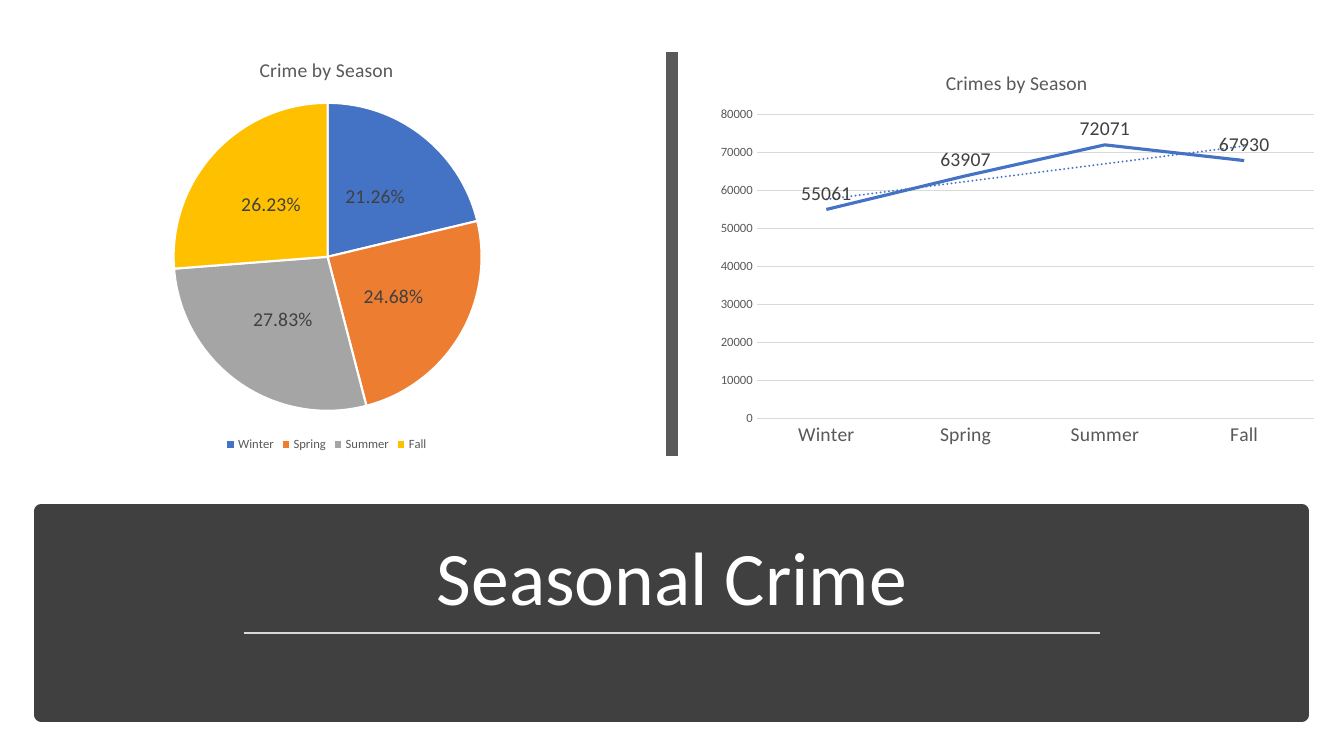
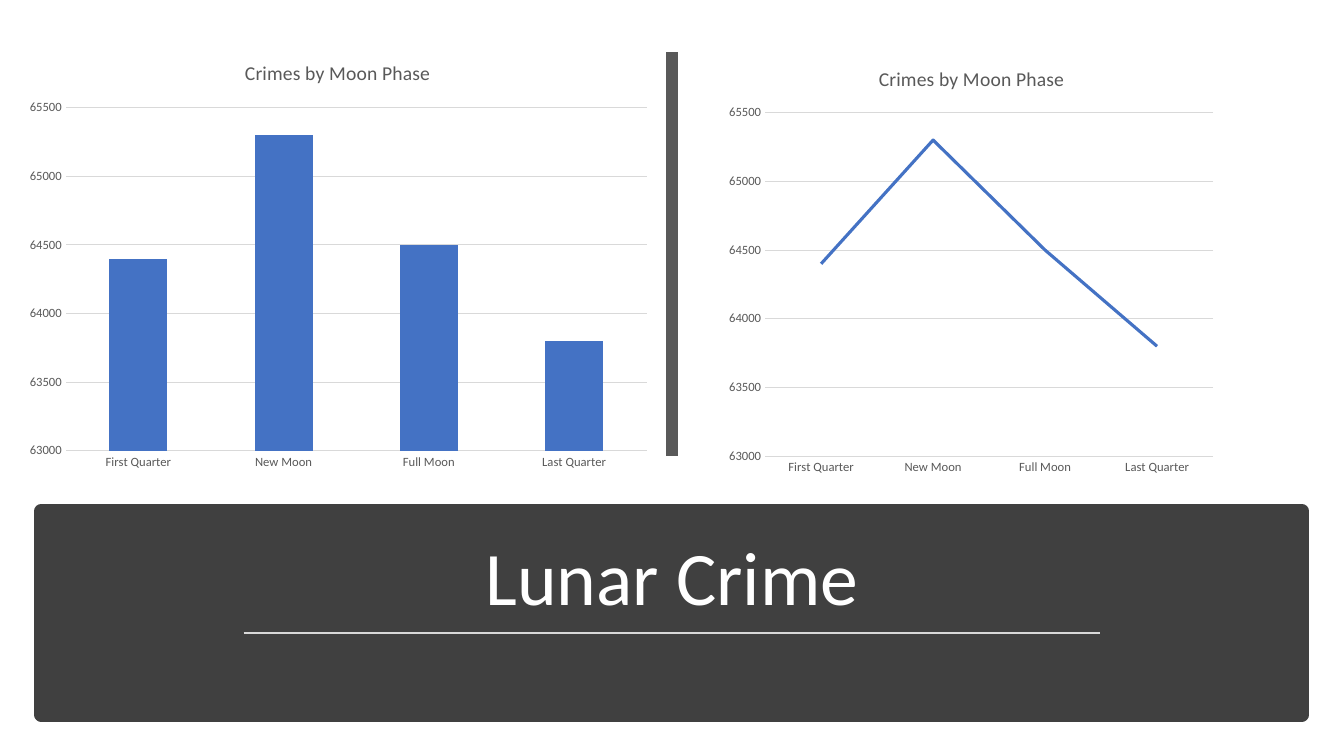
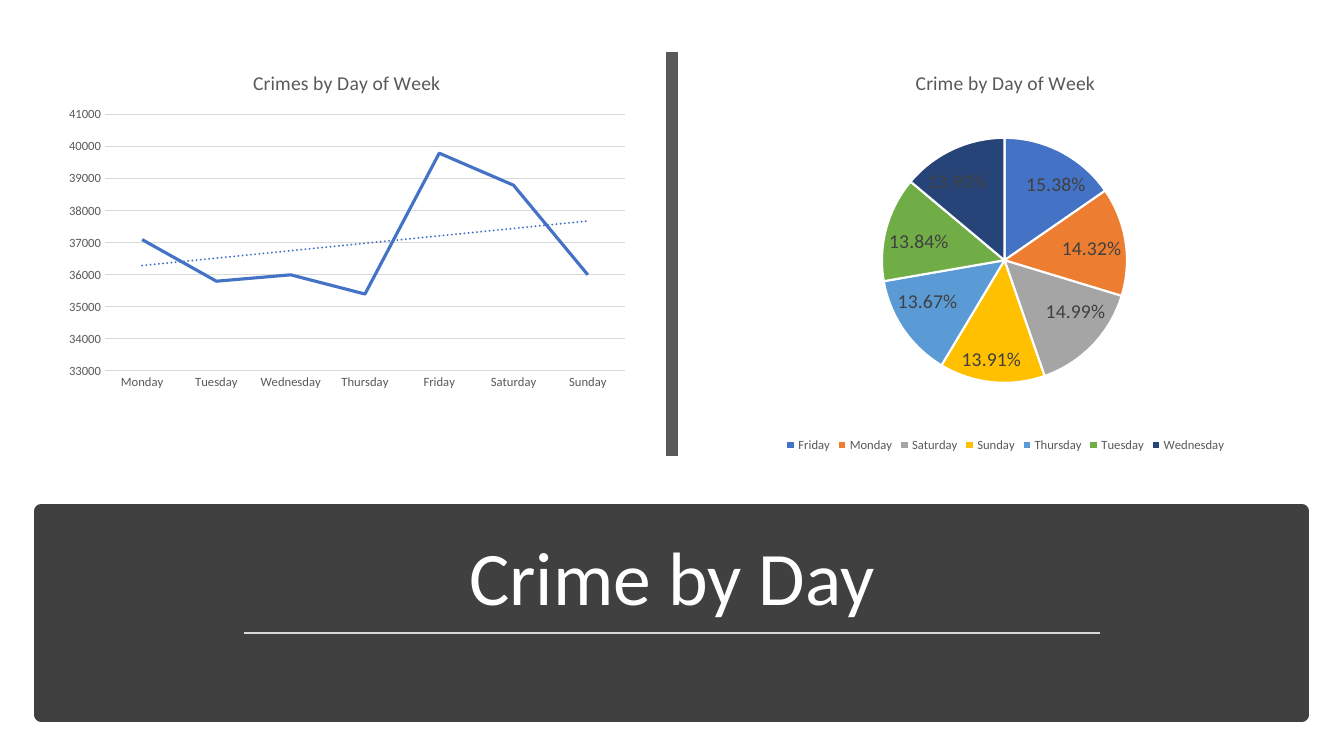
from pptx import Presentation
from pptx.chart.data import CategoryChartData
from pptx.dml.color import RGBColor
from pptx.enum.chart import XL_CHART_TYPE, XL_LABEL_POSITION, XL_LEGEND_POSITION, XL_TICK_MARK
from pptx.enum.shapes import MSO_CONNECTOR, MSO_SHAPE
from pptx.enum.text import MSO_ANCHOR, PP_ALIGN
from pptx.oxml import parse_xml
from pptx.oxml.ns import nsdecls, qn
from pptx.util import Pt

FONT = "Calibri"
WHITE, BAND, DIVIDER, RULE = "FFFFFF", "404040", "595959", "D9D9D9"
LABEL, AXIS = "404040", "595959"
PALETTE = ["4472C4", "ED7D31", "A5A5A5", "FFC000", "5B9BD5", "70AD47", "264478"]

PIE, LINE, COLUMN = XL_CHART_TYPE.PIE, XL_CHART_TYPE.LINE, XL_CHART_TYPE.COLUMN_CLUSTERED
SEASONS = ["Winter", "Spring", "Summer", "Fall"]
MOON = {"First Quarter": 64400, "New Moon": 65300, "Full Moon": 64500, "Last Quarter": 63800}
DAYS = {"Monday": 37100, "Tuesday": 35800, "Wednesday": 36000, "Thursday": 35400,
        "Friday": 39800, "Saturday": 38800, "Sunday": 36000}
DAY_SHARES = {"Friday": 0.1538, "Monday": 0.1432, "Saturday": 0.1499, "Sunday": 0.1391,
              "Thursday": 0.1367, "Tuesday": 0.1384, "Wednesday": 0.139}

# box: chart frame, plot: inner plot area; both left, top, width, height in points
# scale: minimum, maximum and step of the value axis
SLIDES = [
    ("Seasonal Crime", [
        dict(kind=PIE, title="Crime by Season",
             data=dict(zip(SEASONS, [0.2126, 0.2468, 0.2783, 0.2623])),
             box=(29.5, 28, 407.5, 297.5), plot=(124, 73.5, 220, 220),
             labels=XL_LABEL_POSITION.CENTER),
        dict(kind=LINE, title="Crimes by Season",
             data=dict(zip(SEASONS, [55061, 63907, 72071, 67930])),
             box=(506, 37.5, 440.5, 288), plot=(540.5, 82, 398, 217),
             scale=(0, 80000, 10000), cat_size=14, trend=True,
             labels=XL_LABEL_POSITION.ABOVE),
    ]),
    ("Lunar Crime", [
        dict(kind=LINE, title="Crimes by Moon Phase", data=MOON,
             box=(514, 34, 360, 312), plot=(546.5, 80.5, 320, 245.5),
             scale=(63000, 65500, 500)),
        dict(kind=COLUMN, title="Crimes by Moon Phase", data=MOON,
             box=(12, 30, 458.5, 312), plot=(47, 77, 415, 245),
             scale=(63000, 65500, 500)),
    ]),
    ("Crime by Day", [
        dict(kind=LINE, title="Crimes by Day of Week", data=DAYS,
             box=(41, 38, 413.5, 245), plot=(75, 82, 371.5, 183),
             scale=(33000, 41000, 1000), trend=True),
        dict(kind=PIE, title="Crime by Day of Week", data=DAY_SHARES,
             box=(505.5, 37.5, 425.5, 288.5), plot=(630, 98.5, 175, 175),
             labels=XL_LABEL_POSITION.BEST_FIT),
    ]),
]


def rgb(value):
    return RGBColor.from_string(value)


def set_font(font, size, color):
    font.name, font.size, font.bold = FONT, Pt(size), False
    font.color.rgb = rgb(color)


def set_line(line, color, width):
    line.color.rgb = rgb(color)
    line.width = Pt(width)


def add_line(slide, x1, y1, x2, y2, color, width):
    sp = slide.shapes.add_connector(MSO_CONNECTOR.STRAIGHT, Pt(x1), Pt(y1), Pt(x2), Pt(y2))
    set_line(sp.line, color, width)
    sp.element.spPr.append(parse_xml(f"<a:effectLst {nsdecls('a')}/>"))


def add_frame(slide, title):
    """Draw the divider, the title band, the title and its underline."""
    add_line(slide, 480, 37.5, 480, 325.5, DIVIDER, 8)
    band = slide.shapes.add_shape(MSO_SHAPE.RECTANGLE, Pt(29.5), Pt(365), Pt(900.5), Pt(145.5))
    band.shadow.inherit = False
    band.fill.solid()
    band.fill.fore_color.rgb = rgb(BAND)
    set_line(band.line, BAND, 10)

    tf = slide.shapes.add_textbox(Pt(41.5), Pt(374.5), Pt(877), Pt(73.5)).text_frame
    tf.word_wrap = True
    tf.vertical_anchor = MSO_ANCHOR.BOTTOM
    p = tf.paragraphs[0]
    p.alignment = PP_ALIGN.CENTER
    p.line_spacing = 0.9
    r = p.add_run()
    r.text = title
    set_font(r.font, 54, WHITE)
    add_line(slide, 174, 452, 786, 452, RULE, 1.75)


def place_plot(chart, box, plot):
    """Fix the inner plot area, given in slide points."""
    x, y = ((plot[i] - box[i]) / box[i + 2] for i in (0, 1))
    w, h = (plot[i] / box[i] for i in (2, 3))
    area = chart.element.find(".//" + qn("c:plotArea"))
    for old in area.findall(qn("c:layout")):
        area.remove(old)
    area.insert(0, parse_xml(
        f'<c:layout {nsdecls("c")}><c:manualLayout><c:layoutTarget val="inner"/>'
        '<c:xMode val="edge"/><c:yMode val="edge"/>'
        f'<c:x val="{x:.4f}"/><c:y val="{y:.4f}"/><c:w val="{w:.4f}"/><c:h val="{h:.4f}"/>'
        '</c:manualLayout></c:layout>'))


def add_trend(series):
    trend = parse_xml(
        f'<c:trendline {nsdecls("c", "a")}><c:spPr><a:ln w="{Pt(1.5)}" cap="rnd"><a:solidFill>'
        f'<a:srgbClr val="{PALETTE[0]}"/></a:solidFill><a:prstDash val="sysDot"/></a:ln></c:spPr>'
        '<c:trendlineType val="linear"/><c:dispRSqr val="0"/><c:dispEq val="0"/></c:trendline>')
    series._element.find(qn("c:cat")).addprevious(trend)


def style_axes(chart, kind, scale, cat_size):
    cat, val = chart.category_axis, chart.value_axis
    for axis, size in ((cat, cat_size), (val, 9)):
        axis.major_tick_mark = axis.minor_tick_mark = XL_TICK_MARK.NONE
        set_font(axis.tick_labels.font, size, AXIS)
    cat.has_major_gridlines = False
    if kind == COLUMN:
        cat.format.line.fill.background()
    else:
        set_line(cat.format.line, RULE, 0.75)
    val.format.line.fill.background()
    val.has_major_gridlines = True
    set_line(val.major_gridlines.format.line, RULE, 0.75)
    val.minimum_scale, val.maximum_scale, val.major_unit = scale


def style_pie(chart, series, count):
    for i in range(count):
        fmt = series.points[i].format
        fmt.fill.solid()
        fmt.fill.fore_color.rgb = rgb(PALETTE[i])
        set_line(fmt.line, WHITE, 1.5)
    chart.has_legend = True
    chart.legend.position = XL_LEGEND_POSITION.BOTTOM
    chart.legend.include_in_layout = False
    set_font(chart.legend.font, 9, AXIS)


def add_chart(slide, kind, title, data, box, plot, scale=None, cat_size=9,
              trend=False, labels=None):
    cd = CategoryChartData()
    cd.categories = list(data)
    cd.add_series("Series 1", list(data.values()))
    chart = slide.shapes.add_chart(kind, *map(Pt, box), cd).chart
    set_font(chart.font, 10, "000000")
    chart.has_title = True
    r = chart.chart_title.text_frame.paragraphs[0].add_run()
    r.text = title
    set_font(r.font, 14, AXIS)
    chart.has_legend = False
    place_plot(chart, box, plot)

    group = chart.plots[0]
    group.vary_by_categories = kind == PIE
    series = group.series[0]
    if kind == PIE:
        style_pie(chart, series, len(data))
    else:
        style_axes(chart, kind, scale, cat_size)
    if kind == LINE:
        series.smooth = False
        set_line(series.format.line, PALETTE[0], 2.25)
    elif kind == COLUMN:
        group.gap_width = 150
        series.format.fill.solid()
        series.format.fill.fore_color.rgb = rgb(PALETTE[0])
    if labels is not None:
        dl = series.data_labels
        dl.show_value = True
        dl.position = labels
        set_font(dl.font, 14, LABEL)
        if kind == PIE:
            dl.number_format = "0.00%"
            dl.number_format_is_linked = False
    if trend:
        add_trend(series)


def main():
    prs = Presentation()
    prs.slide_width, prs.slide_height = Pt(960), Pt(540)
    for title, charts in SLIDES:
        slide = prs.slides.add_slide(prs.slide_layouts[6])
        add_frame(slide, title)
        for chart in charts:
            add_chart(slide, **chart)
    prs.save("out.pptx")


if __name__ == "__main__":
    main()
